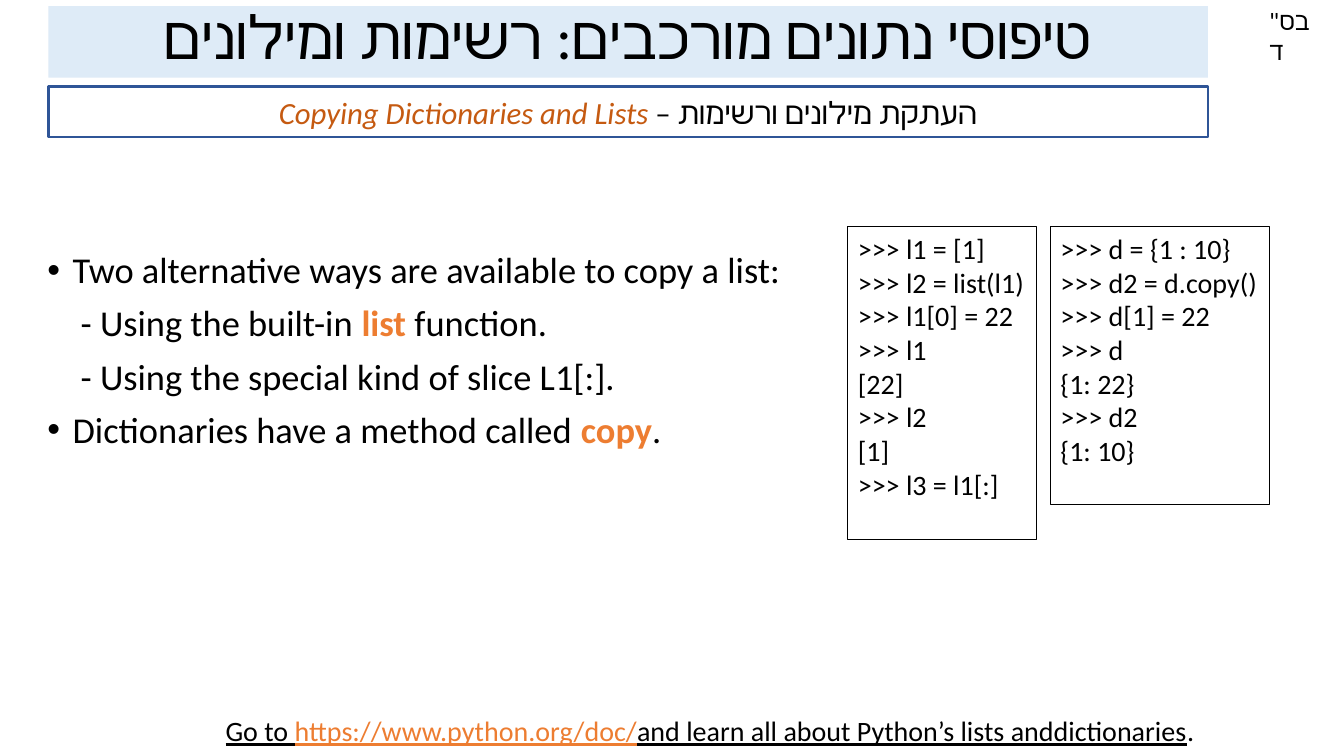
from lxml import etree
from pptx import Presentation
from pptx.dml.color import RGBColor
from pptx.enum import shapes, text
from pptx.oxml import ns
from pptx.util import Inches, Pt

BLACK = RGBColor(0x00, 0x00, 0x00)
PALE_BLUE = RGBColor(0xDE, 0xEB, 0xF7)
NAVY = RGBColor(0x2F, 0x55, 0x97)
RUST = RGBColor(0xC5, 0x5A, 0x11)
ORANGE = RGBColor(0xED, 0x7D, 0x31)
FONT = "Calibri"

LIST_CODE = [">>> l1 = [1]", ">>> l2 = list(l1)", ">>> l1[0] = 22", ">>> l1",
             "[22]", ">>> l2", "[1]", ">>> l3 = l1[:]"]
DICT_CODE = [">>> d = {1 : 10}", ">>> d2 = d.copy()", ">>> d[1] = 22", ">>> d",
             "{1: 22}", ">>> d2", "{1: 10}"]
POINTS = [
    (True, ["Two alternative ways are available to copy a list:"]),
    (False, ["- Using the built-in ", "list", " function."]),
    (False, ["- Using the special kind of slice L1[:]."]),
    (True, ["Dictionaries have a method called ", "copy", "."]),
]


def add_run(p, words, size, color=BLACK, bold=False, italic=False, underline=False):
    r = p.add_run()
    r.text = words
    f = r.font
    f.name, f.size, f.bold, f.italic, f.underline = FONT, Pt(size), bold, italic, underline
    f.color.rgb = color
    etree.SubElement(r._r.get_or_add_rPr(), ns.qn("a:cs"), typeface=FONT)


def center(p, rtl=False):
    p.alignment = text.PP_ALIGN.CENTER
    if rtl:
        p._p.get_or_add_pPr().set("rtl", "1")


def place(sp, left, top, width, height):
    sp.left, sp.top = Inches(left), Inches(top)
    sp.width, sp.height = Inches(width), Inches(height)
    tf = sp.text_frame
    tf.auto_size = text.MSO_AUTO_SIZE.NONE
    tf.word_wrap = True
    return tf


def add_textbox(slide, *box):
    return place(slide.shapes.add_textbox(0, 0, 0, 0), *box)


def add_frame(slide, color, weight, *box):
    sp = slide.shapes.add_shape(shapes.MSO_SHAPE.RECTANGLE, 0, 0, 0, 0)
    sp.shadow.inherit = False
    sp.fill.background()
    sp.line.color.rgb = color
    sp.line.width = Pt(weight)
    return place(sp, *box)


def add_corner(slide, *box):
    tf = add_textbox(slide, *box)
    tf.margin_right = Inches(0.2)
    add_run(tf.paragraphs[0], "בס\"ד", 18)


def add_header(slide, left, top, width):
    title = slide.shapes.title
    tf = place(title, left, top, width, 0.71)
    title.fill.solid()
    title.fill.fore_color.rgb = PALE_BLUE
    tf.vertical_anchor = text.MSO_ANCHOR.MIDDLE
    p = tf.paragraphs[0]
    center(p, rtl=True)
    p.line_spacing = 0.8
    add_run(p, "טיפוסי נתונים מורכבים: רשימות ומילונים", 42.9)

    tf = add_frame(slide, NAVY, 1.75, left, top + 0.8, width, 0.5)
    tf.vertical_anchor = text.MSO_ANCHOR.MIDDLE
    p = tf.paragraphs[0]
    center(p, rtl=True)
    add_run(p, "העתקת מילונים ורשימות – ", 22)
    add_run(p, "Copying Dictionaries and Lists", 22, RUST, italic=True)


def add_points(slide, *box):
    tf = place(slide.placeholders[1], *box)
    for i, (bulleted, parts) in enumerate(POINTS):
        p = tf.add_paragraph() if i else tf.paragraphs[0]
        p.line_spacing = 0.9
        p.space_before = Pt(10)
        pPr = p._p.get_or_add_pPr()
        pPr.set("marL", str(Inches(0.25 if bulleted else 0.33)))
        pPr.set("indent", str(Inches(-0.25 if bulleted else 0)))
        if not bulleted:
            etree.SubElement(pPr, ns.qn("a:buNone"))
        for j, part in enumerate(parts):
            keyword = j == 1
            add_run(p, part, 26, ORANGE if keyword else BLACK, bold=keyword)


def add_code(slide, lines, *box):
    tf = add_frame(slide, BLACK, 0.75, *box)
    tf.word_wrap = False
    tf.vertical_anchor = text.MSO_ANCHOR.TOP
    for i, line in enumerate(lines):
        p = tf.add_paragraph() if i else tf.paragraphs[0]
        p.alignment = text.PP_ALIGN.LEFT
        add_run(p, line, 20)


def add_reference(slide, *box):
    p = add_textbox(slide, *box).paragraphs[0]
    center(p)
    add_run(p, "Go to ", 20, underline=True)
    add_run(p, "https://www.python.org/doc/", 20, ORANGE, underline=True)
    add_run(p, "and learn all about Python’s lists anddictionaries", 20, underline=True)
    add_run(p, ".", 20)


def main():
    prs = Presentation()
    prs.slide_width, prs.slide_height = Inches(13.33), Inches(7.5)
    slide = prs.slides.add_slide(prs.slide_layouts[1])
    add_corner(slide, 12.49, 0, 0.7, 0.4)
    add_header(slide, 0.48, 0.06, 11.5)
    add_points(slide, 0.37, 2.45, 7.58, 2.7)
    add_code(slide, LIST_CODE, 8.41, 2.25, 1.87, 3.1)
    add_code(slide, DICT_CODE, 10.42, 2.25, 2.17, 2.76)
    add_reference(slide, 1.87, 7.03, 10.34, 0.44)
    prs.save("out.pptx")


if __name__ == "__main__":
    main()
